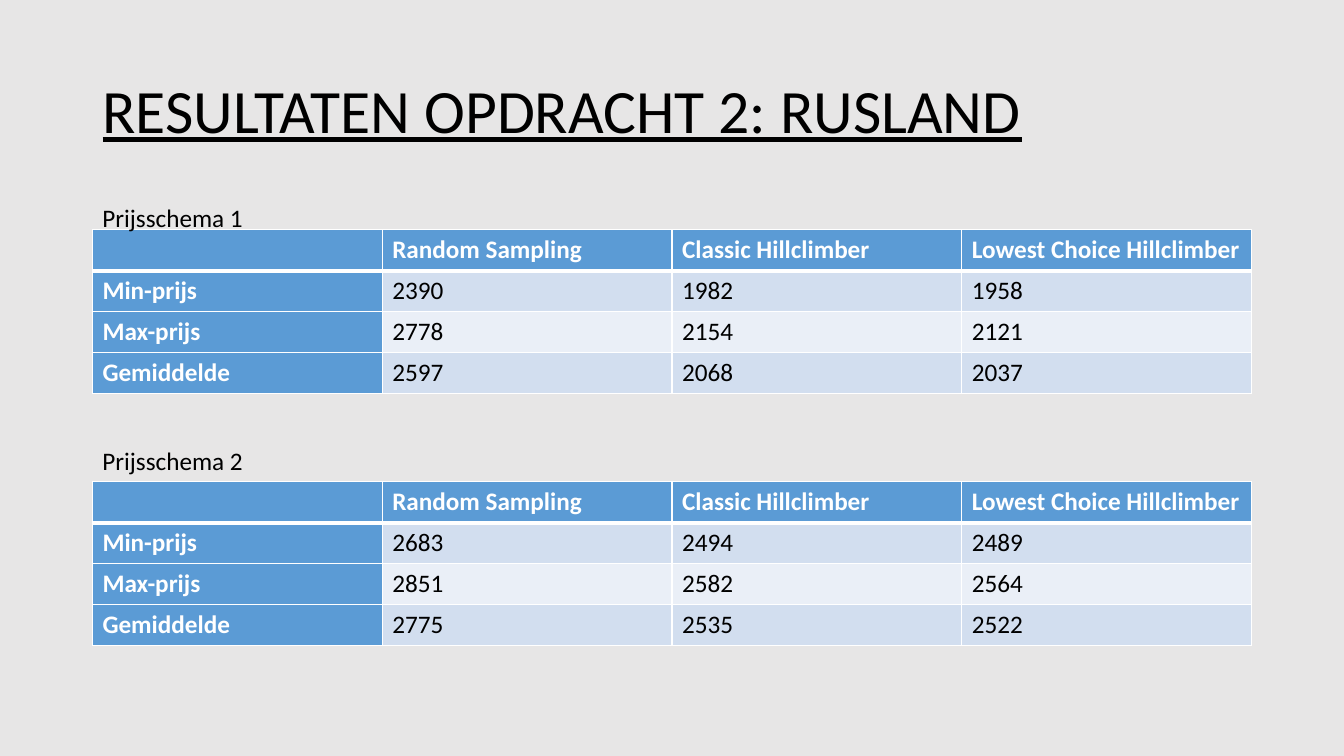
from dataclasses import dataclass

from lxml.etree import SubElement
from pptx import Presentation
from pptx.dml.color import RGBColor
from pptx.enum.text import MSO_ANCHOR, MSO_AUTO_SIZE, PP_ALIGN
from pptx.oxml.ns import qn
from pptx.slide import Slide
from pptx.table import _Cell as Cell
from pptx.text.text import TextFrame
from pptx.util import Inches, Pt

SLIDE_WIDTH, SLIDE_HEIGHT = Inches(13.33), Inches(7.5)


@dataclass(frozen=True)
class Theme:
    font: str = "Calibri"
    title_size: int = 44
    text_size: int = 18
    background: str = "E7E6E6"
    ink: str = "000000"
    white: str = "FFFFFF"
    header: str = "5B9BD5"
    bands: tuple[str, str] = ("D2DEEF", "EAEFF7")
    rule: int = 1
    header_rule: int = 3


@dataclass(frozen=True)
class Area:
    """A rectangle in percentages of the slide's width and height."""
    top: float
    height: float
    left: float = 6.88
    width: float = 86.25

    def emu(self) -> tuple[int, int, int, int]:
        return (int(SLIDE_WIDTH * self.left / 100), int(SLIDE_HEIGHT * self.top / 100),
                int(SLIDE_WIDTH * self.width / 100), int(SLIDE_HEIGHT * self.height / 100))


@dataclass(frozen=True)
class PriceScheme:
    caption: str
    caption_area: Area
    table_area: Area
    prices: tuple[tuple[int, int, int], ...]


THEME = Theme()
TITLE_AREA = Area(5.33, 19.33)
ALGORITHMS = ("Random Sampling", "Classic Hillclimber", "Lowest Choice Hillclimber")
MEASURES = ("Min-prijs", "Max-prijs", "Gemiddelde")
SCHEMES = (
    PriceScheme("Prijsschema 1", Area(22, 9.47), Area(30.4, 21.63),
                ((2390, 1982, 1958), (2778, 2154, 2121), (2597, 2068, 2037))),
    PriceScheme("Prijsschema 2", Area(58.27, 5.33), Area(63.73, 21.63),
                ((2683, 2494, 2489), (2851, 2582, 2564), (2775, 2535, 2522))),
)


def write(frame: TextFrame, text: str, size: int, color: str,
          bold: bool = False, underline: bool = False) -> None:
    frame.text = text
    for run in frame.paragraphs[0].runs:
        font = run.font
        font.name, font.size = THEME.font, Pt(size)
        font.bold, font.underline = bold, underline
        font.color.rgb = RGBColor.from_string(color)


def add_borders(cell: Cell, top: int, bottom: int) -> None:
    properties = cell._tc.get_or_add_tcPr()
    sides = {"lnL": THEME.rule, "lnR": THEME.rule, "lnT": top, "lnB": bottom}
    for side, points in sides.items():
        line = SubElement(properties, qn(f"a:{side}"), w=str(Pt(points)))
        fill = SubElement(line, qn("a:solidFill"))
        SubElement(fill, qn("a:srgbClr"), val=THEME.white)


def format_cell(cell: Cell, text: str, row: int, column: int) -> None:
    is_heading = row == 0 or column == 0
    add_borders(cell,
                top=THEME.header_rule if row == 1 else THEME.rule,
                bottom=THEME.header_rule if row == 0 else THEME.rule)
    cell.fill.solid()
    band = THEME.header if is_heading else THEME.bands[(row - 1) % 2]
    cell.fill.fore_color.rgb = RGBColor.from_string(band)
    write(cell.text_frame, text, THEME.text_size,
          THEME.white if is_heading else THEME.ink, bold=is_heading)


def add_title(slide: Slide, text: str) -> None:
    title = slide.shapes.title
    title.left, title.top, title.width, title.height = TITLE_AREA.emu()
    frame = title.text_frame
    write(frame, text, THEME.title_size, THEME.ink, underline=True)
    frame.auto_size = MSO_AUTO_SIZE.NONE
    frame.vertical_anchor = MSO_ANCHOR.MIDDLE
    frame.paragraphs[0].alignment = PP_ALIGN.LEFT
    frame.paragraphs[0].line_spacing = 0.9


def add_scheme(slide: Slide, scheme: PriceScheme) -> None:
    grid = [("", *ALGORITHMS)]
    grid += [(measure, *map(str, prices)) for measure, prices in zip(MEASURES, scheme.prices)]
    table = slide.shapes.add_table(len(grid), len(grid[0]), *scheme.table_area.emu()).table
    table.first_col = True
    for row, texts in enumerate(grid):
        for column, text in enumerate(texts):
            format_cell(table.cell(row, column), text, row, column)

    caption = slide.shapes.add_textbox(*scheme.caption_area.emu()).text_frame
    caption.word_wrap = True
    caption.vertical_anchor = MSO_ANCHOR.BOTTOM
    write(caption, scheme.caption, THEME.text_size, THEME.ink)


def main() -> None:
    deck = Presentation()
    deck.slide_width, deck.slide_height = SLIDE_WIDTH, SLIDE_HEIGHT
    slide = deck.slides.add_slide(deck.slide_layouts.get_by_name("Title Only"))
    slide.background.fill.solid()
    slide.background.fill.fore_color.rgb = RGBColor.from_string(THEME.background)
    add_title(slide, "RESULTATEN OPDRACHT 2: RUSLAND")
    for scheme in SCHEMES:
        add_scheme(slide, scheme)
    deck.save("out.pptx")


if __name__ == "__main__":
    main()
